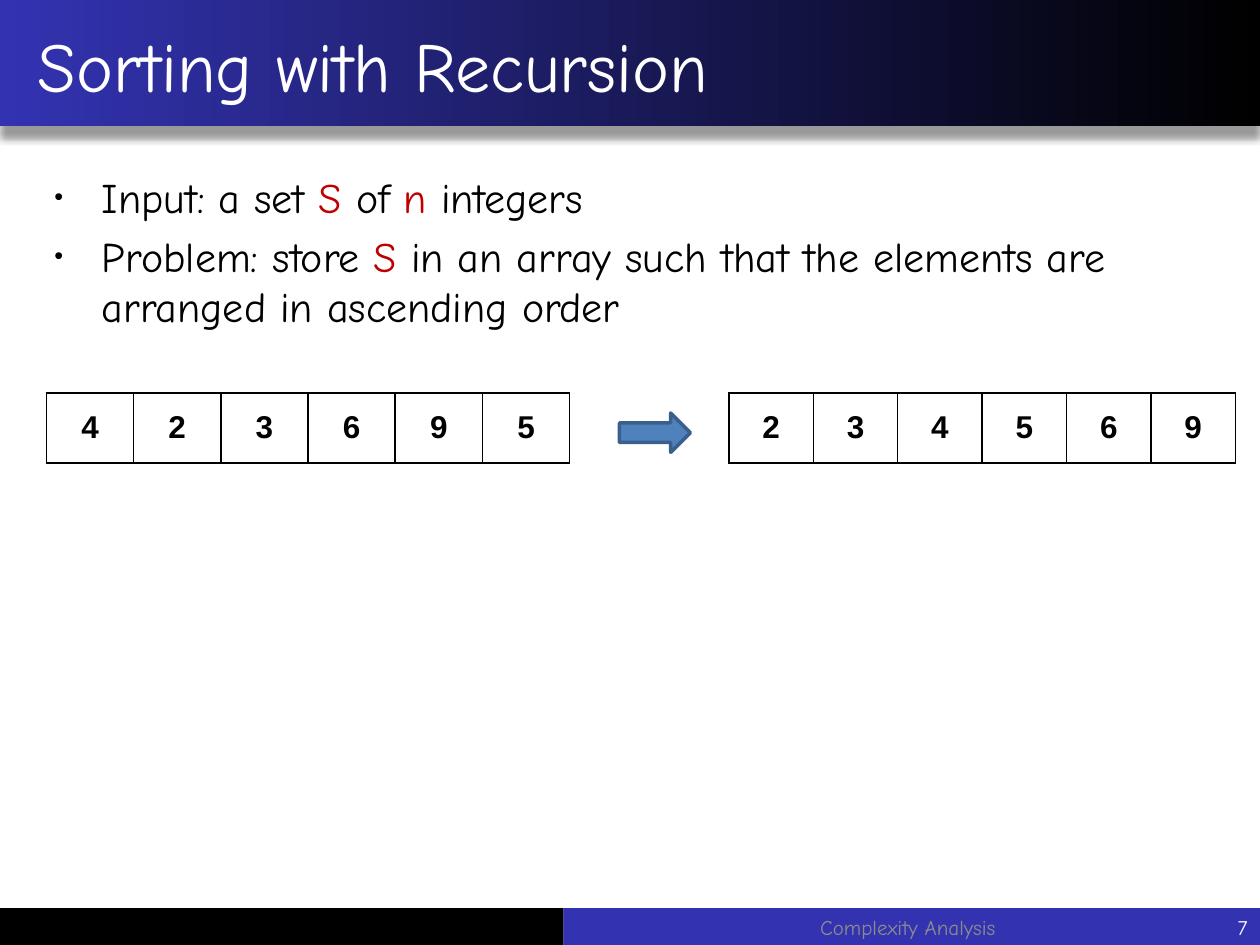
from lxml import etree
from pptx import Presentation
from pptx.dml.color import RGBColor
from pptx.enum.shapes import MSO_SHAPE
from pptx.enum.text import MSO_ANCHOR, MSO_AUTO_SIZE, PP_ALIGN
from pptx.oxml.ns import qn
from pptx.util import Pt

RECT, ARROW = MSO_SHAPE.RECTANGLE, MSO_SHAPE.RIGHT_ARROW
TOP, MIDDLE = MSO_ANCHOR.TOP, MSO_ANCHOR.MIDDLE
LEFT, CENTER, RIGHT = PP_ALIGN.LEFT, PP_ALIGN.CENTER, PP_ALIGN.RIGHT
FIXED = MSO_AUTO_SIZE.NONE

BLACK = RGBColor(0x00, 0x00, 0x00)
WHITE = RGBColor(0xFF, 0xFF, 0xFF)
NAVY = RGBColor(0x33, 0x33, 0xB2)
RED = RGBColor(0xC0, 0x00, 0x00)
GRAY = RGBColor(0x8C, 0x8C, 0x8C)
BLUE = RGBColor(0x4F, 0x81, 0xBD)
EDGE = RGBColor(0x3A, 0x5F, 0x8C)

WIDE, HIGH = 720, 540
FONT, CELL_FONT = "Comic Neue", "Arial"


def pts(*box):
    """Turn plain numbers into point lengths."""
    return [Pt(n) for n in box]


def node(parent, tag, **attrs):
    """Add a drawing element with its attributes."""
    child = etree.SubElement(parent, qn(tag))
    for key, val in attrs.items():
        child.set(key, str(val))
    return child


def write(par, text, size=24, color=BLACK, font=FONT, bold=False, align=LEFT):
    """Add a formatted run to a paragraph."""
    par.alignment = align
    run = par.add_run()
    run.text = text
    run.font.size = Pt(size)
    run.font.name = font
    run.font.bold = bold
    run.font.color.rgb = color


def block(slide, box, fill, kind=RECT, edge=None):
    """Add a flat shape, outlined only when an edge colour is given."""
    shape = slide.shapes.add_shape(kind, *pts(*box))
    shape.shadow.inherit = False
    shape.fill.solid()
    shape.fill.fore_color.rgb = fill
    if edge is None:
        shape.line.fill.background()
    else:
        shape.line.color.rgb = edge
        shape.line.width = Pt(2)
    return shape


def frame(slide, box, anchor=MIDDLE):
    """Add a wrapping text box and return its frame."""
    body = slide.shapes.add_textbox(*pts(*box)).text_frame
    body.word_wrap = True
    body.vertical_anchor = anchor
    return body


def header(slide, box, text):
    """Place the gradient bar with its shadow and the title over it."""
    left, top, width, height = box
    bar = block(slide, box, NAVY)
    bar.fill.gradient()
    bar.fill.gradient_angle = 180
    for stop, color in zip(bar.fill.gradient_stops, (BLACK, NAVY)):
        stop.color.rgb = color
    effects = bar._element.spPr.find(qn("a:effectLst"))
    shade = node(effects, "a:outerShdw", blurRad=Pt(4), dist=Pt(7),
                 dir=5400000, algn="t", rotWithShape=0)
    tint = node(shade, "a:srgbClr", val=BLACK)
    node(tint, "a:alpha", val=40000)

    title = slide.shapes.title
    bar._element.addnext(title._element)
    title.left, title.top, title.width, title.height = pts(
        left, top + 2, width, height - 2)
    body = title.text_frame
    body.auto_size = FIXED
    body.vertical_anchor = MIDDLE
    par = body.paragraphs[0]
    write(par, text, size=40, color=WHITE)
    par._p.get_or_add_pPr().set("marL", str(Pt(14.4)))


def bullets(slide, box, items):
    """Place a bulleted list whose odd parts are highlighted."""
    body = frame(slide, box, TOP)
    for i, parts in enumerate(items):
        par = body.add_paragraph() if i else body.paragraphs[0]
        par.space_before = Pt(4.8)
        for j, part in enumerate(parts):
            write(par, part, color=RED if j % 2 else BLACK)
        props = par._p.get_or_add_pPr()
        props.set("marL", str(Pt(27)))
        props.set("indent", str(Pt(-27)))
        node(props, "a:buSzPct", val=60000)
        node(props, "a:buFont", typeface="Arial")
        node(props, "a:buChar", char="•")


def border(cell):
    """Draw a thin black line on every side of a cell."""
    props = cell._tc.get_or_add_tcPr()
    for i, side in enumerate("LRTB"):
        line = node(props, "a:ln" + side, w=Pt(1))
        node(node(line, "a:solidFill"), "a:srgbClr", val=BLACK)
        props.insert(i, line)


def array(slide, box, values):
    """Place a one-row table of equal cells."""
    width, height = box[2:]
    table = slide.shapes.add_table(1, len(values), *pts(*box)).table
    table.first_row = table.horz_banding = False
    table.rows[0].height = Pt(height)
    for col, cell, value in zip(table.columns, table.rows[0].cells, values):
        col.width = Pt(width / len(values))
        cell.fill.solid()
        cell.fill.fore_color.rgb = WHITE
        cell.vertical_anchor = MIDDLE
        write(cell.text_frame.paragraphs[0], str(value), size=18,
              font=CELL_FONT, bold=True, align=CENTER)
        border(cell)


def sorting(slide, box, values):
    """Place the input array, an arrow and the sorted array."""
    left, top, width, height = box
    array(slide, (left, top, 299, height), values)
    block(slide, (left + 327.5, top + 11.5, 40.5, 22.5), BLUE, ARROW, EDGE)
    array(slide, (left + width - 289.5, top, 289.5, height), sorted(values))


def footer(slide, box, topic, page):
    """Place the two-tone strip with the topic and page number."""
    left, top, width, height = box
    split = 322
    block(slide, (left + split, top, width - split, height), NAVY)
    block(slide, (left, top, split, height), BLACK)
    middle = frame(slide, (left + 360, top, 317.5, height))
    write(middle.paragraphs[0], topic, size=12, color=GRAY, align=CENTER)
    end = frame(slide, (left + width - 90, top, 90, height))
    write(end.paragraphs[0], page, size=12, color=WHITE, align=RIGHT)


def main():
    """Build the slide and save it."""
    deck = Presentation()
    deck.slide_width, deck.slide_height = pts(WIDE, HIGH)
    slide = deck.slides.add_slide(deck.slide_layouts[5])
    header(slide, (0, -0.5, WIDE, 72.5), "Sorting with Recursion")
    footer(slide, (0, 519, WIDE, 21), "Complexity Analysis", "7")
    bullets(slide, (24, 94.5, 660, 388), [
        ("Input: a set ", "S", " of ", "n", " integers"),
        ("Problem: store ", "S", " in an array such that the elements are "
         "arranged in ascending order"),
    ])
    sorting(slide, (26.5, 224.5, 679.5, 40), (4, 2, 3, 6, 9, 5))
    deck.save("out.pptx")


if __name__ == "__main__":
    main()
